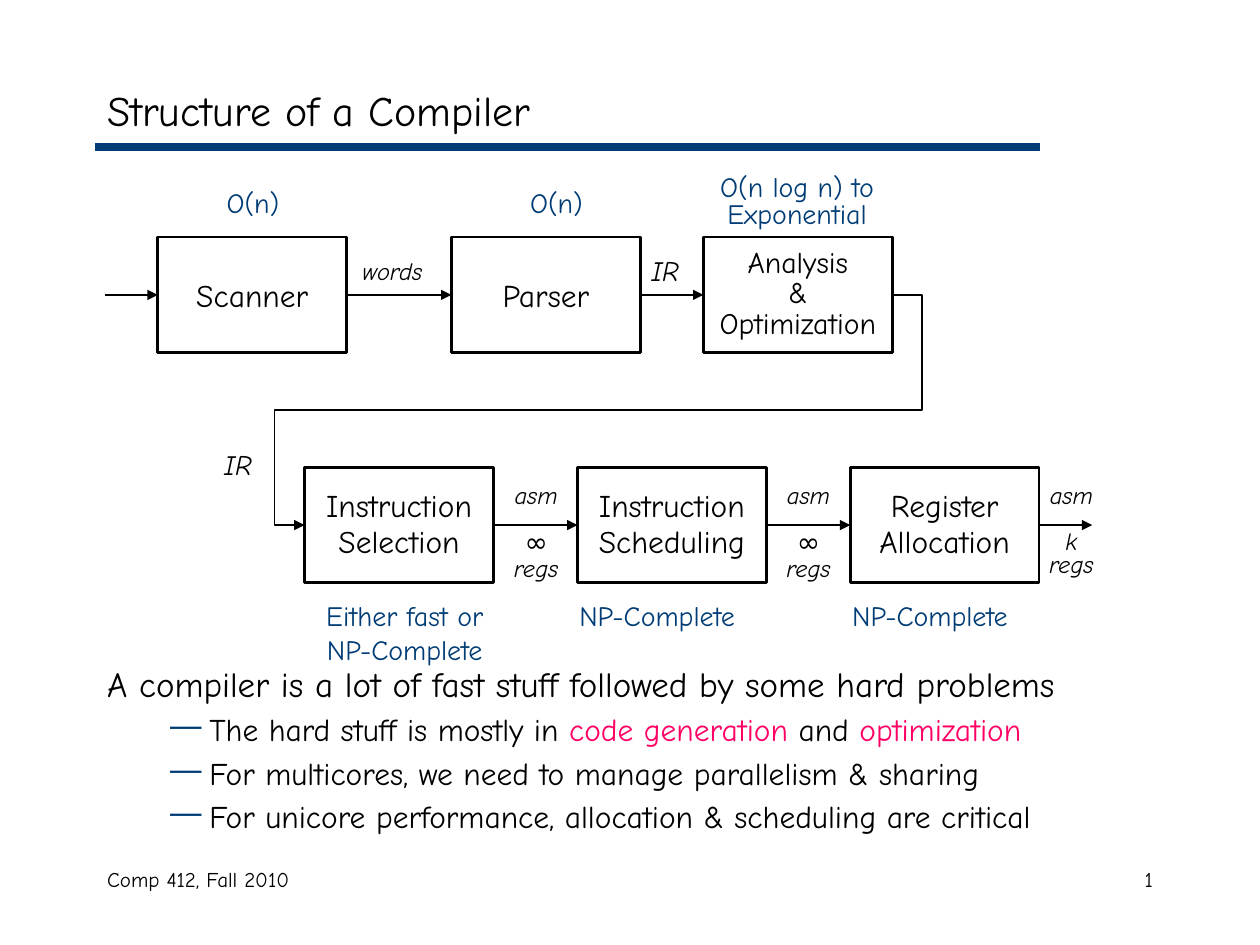
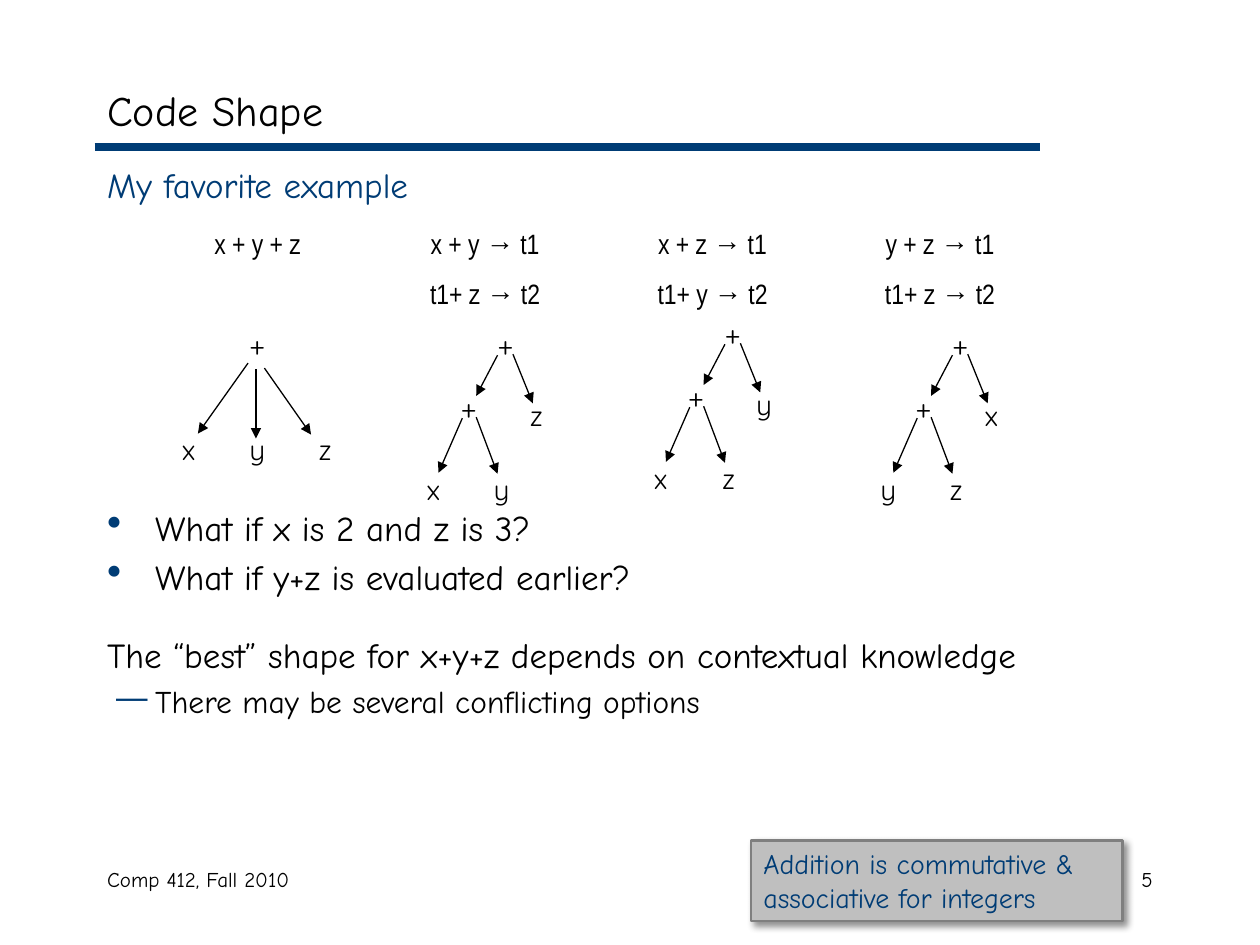
from lxml.etree import SubElement as Sub
from pptx import Presentation
from pptx.dml.color import RGBColor
from pptx.enum.shapes import MSO_CONNECTOR as CXN, MSO_SHAPE as SHAPE
from pptx.enum.text import MSO_ANCHOR as ANCHOR, PP_ALIGN as ALIGN
from pptx.oxml.ns import qn
from pptx.util import Cm, Pt

BLACK = RGBColor(0x00, 0x00, 0x00)
NAVY = RGBColor(0x00, 0x3C, 0x75)
PINK = RGBColor(0xFF, 0x00, 0x65)
SILVER = RGBColor(0xBF, 0xBF, 0xBF)
GREY = RGBColor(0x7F, 0x7F, 0x7F)
BODY, MATH, TREE = "Comic Neue", "Arial Narrow", "Quicksand"
LEFT, CENTER, RIGHT = ALIGN.LEFT, ALIGN.CENTER, ALIGN.RIGHT


def text(s, content, at=None, box=None, size=16, color=BLACK, font=BODY,
         italic=False, align=LEFT, anchor=ANCHOR.TOP, wrap=True, spacing=None,
         before=0, gap=0, bullet=None, bullet_size=100, margin=0, hang=0):
    """Write lines into a new text box, or add them to box; *...* is pink."""
    sp = box or s.shapes.add_textbox(*map(Cm, at))
    tf = sp.text_frame
    tf.word_wrap = wrap
    tf.vertical_anchor = anchor
    for n, line in enumerate(content.split("\n")):
        p = tf.paragraphs[0] if not tf.text else tf.add_paragraph()
        pPr = p._p.get_or_add_pPr()
        if bullet:
            pPr.set("marL", str(Cm(margin)))
            pPr.set("indent", str(-Cm(hang)))
            clr = Sub(Sub(pPr, qn("a:buClr")), qn("a:srgbClr"))
            clr.set("val", str(NAVY))
            Sub(pPr, qn("a:buSzPct")).set("val", str(bullet_size * 1000))
            Sub(pPr, qn("a:buChar")).set("char", bullet)
        p.alignment = align
        p.space_before = Pt(gap if n else before)
        if spacing:
            p.line_spacing = spacing
        for i, part in enumerate(line.split("*")):
            if part:
                r = p.add_run()
                r.text = part
                r.font.size, r.font.name, r.font.italic = Pt(size), font, italic
                r.font.color.rgb = PINK if i % 2 else color
    return sp


def arrow(s, start, end, width=1, kind=CXN.STRAIGHT, color=BLACK, head=True):
    """Draw a line; each end is an (x, y) point or a shape to join."""
    (x1, y1), (x2, y2) = [e if isinstance(e, tuple) else (0, 0)
                          for e in (start, end)]
    c = s.shapes.add_connector(kind, Cm(x1), Cm(y1), Cm(x2), Cm(y2))
    if not isinstance(start, tuple):
        c.begin_connect(start, 3)
    if not isinstance(end, tuple):
        c.end_connect(end, 1)
    c.line.color.rgb = color
    c.line.width = Pt(width)
    if head:
        Sub(c.line._get_or_add_ln(), qn("a:tailEnd")).set("type", "triangle")
    Sub(c._element.spPr, qn("a:effectLst"))
    return c


prs = Presentation()
prs.slide_width, prs.slide_height = Cm(25.4), Cm(19.05)

# Title, rule and footer of both slides
slides = []
for title, number in (("Structure of a Compiler", "1"), ("Code Shape", "5")):
    s = prs.slides.add_slide(prs.slide_layouts[6])
    arrow(s, (1.91, 2.97), (20.96, 2.97), width=4.5, color=NAVY, head=False)
    text(s, title, (1.91, 1.47, 21.59, 1.47), size=24, anchor=ANCHOR.MIDDLE)
    text(s, "Comp 412, Fall 2010", (1.91, 17.35, 8.05, 1.27), size=12)
    text(s, number, (18.21, 17.35, 5.28, 1.27), size=12, align=RIGHT)
    slides.append(s)

# ---- Slide 1: compiler stages ----
s = slides[0]
STAGE_W, STAGE_H = 3.81, 2.33
TOP_ROW, LOW_ROW = 4.78, 9.42
TOP_MID, LOW_MID = TOP_ROW + STAGE_H / 2, LOW_ROW + STAGE_H / 2
STEP = 5.5

stages = []
for label, x, y, size, spacing in (
        ("Scanner", 3.18, TOP_ROW, 18, None),
        ("Parser", 9.1, TOP_ROW, 18, None),
        ("Analysis\n&\nOptimization", 14.18, TOP_ROW, 17, 0.85),
        ("Instruction\nSelection", 6.14, LOW_ROW, 18, 0.95),
        ("Instruction\nScheduling", 6.14 + STEP, LOW_ROW, 18, 0.95),
        ("Register\nAllocation", 6.14 + 2 * STEP, LOW_ROW, 18, 0.95)):
    sp = s.shapes.add_shape(SHAPE.RECTANGLE, Cm(x), Cm(y),
                            Cm(STAGE_W), Cm(STAGE_H))
    sp.shadow.inherit = False
    sp.fill.background()
    sp.line.color.rgb = BLACK
    sp.line.width = Pt(1.5)
    text(s, label, box=sp, size=size, align=CENTER, anchor=ANCHOR.MIDDLE,
         wrap=False, spacing=spacing)
    stages.append(sp)

# Flow through the stages
scanner, parser, optimizer, selection, scheduling, allocation = stages
for start, end in (((2.11, TOP_MID), scanner), (scanner, parser),
                   (parser, optimizer), (selection, scheduling),
                   (scheduling, allocation), (allocation, (22.02, LOW_MID))):
    arrow(s, start, end)

# Return path from the upper row to the lower row
c = arrow(s, optimizer, selection, kind=CXN.ELBOW)
geom = c._element.spPr.find(qn("a:prstGeom"))
geom.set("prst", "bentConnector5")
guides = geom.find(qn("a:avLst"))
for n, value in enumerate((-5100, 50000, 105100), 1):
    gd = Sub(guides, qn("a:gd"))
    gd.set("name", f"adj{n}")
    gd.set("fmla", f"val {value}")

# Cost of each stage
text(s, "O(n log n) to Exponential", (13.21, 3.43, 5.72, 1.37), color=NAVY,
     align=CENTER, spacing=0.8)
for x in (3.51, 9.63):
    text(s, "O(n)", (x, 3.61, 3.18, 0.94), color=NAVY, align=CENTER)
text(s, "Either fast or\nNP-Complete", (5.72, 11.94, 4.88, 1.63), color=NAVY,
     align=CENTER)
for x in (11.43, 11.43 + STEP):
    text(s, "NP-Complete", (x, 11.94, 4.24, 0.94), color=NAVY)

# What passes between stages
text(s, "words", (7.06, 5.03, 2.11, 0.84), size=14, italic=True)
for x, y in ((12.88, 4.98), (4.27, 8.89)):
    text(s, "IR", (x, y, 1.47, 0.94), italic=True)
for x, count, size in ((9.96, "∞", 16), (15.45, "∞", 16), (20.75, "k", 14)):
    text(s, "asm", (x, 9.55, 1.7, 0.84), size=14, italic=True, align=CENTER)
    sp = text(s, count, (x, 10.59, 1.7, 1.27), size=size, italic=True,
              align=CENTER, spacing=0.8)
    text(s, "regs", box=sp, size=14, italic=True, align=CENTER, spacing=0.8)

# Conclusion
sp = text(s, "A compiler is a lot of fast stuff followed by some hard problems",
          (1.91, 13.23, 22.02, 4.1), size=20)
for line in ("The hard stuff is mostly in *code generation* and *optimization*",
             "For multicores, we need to manage parallelism & sharing",
             "For unicore performance, allocation & scheduling are critical"):
    text(s, line, box=sp, size=18, before=3.3, bullet="—", margin=2.06,
         hang=0.79)

# ---- Slide 2: code shapes ----
s = slides[1]
text(s, "My favorite example", (1.91, 3.18, 21.59, 1.1), size=20, color=NAVY)

# Expressions above the trees
COLUMN = 4.585
for n, code in enumerate(("x + y + z", "x + y → t1\nt1+ z → t2",
                          "x + z → t1\nt1+ y → t2", "y + z → t1\nt1+ z → t2")):
    text(s, code, (3.39 + n * COLUMN, 4.45, 3.61, 1.96), font=MATH,
         align=CENTER, gap=9)

# Trees: column, shift down, node labels, node places, edges
flat_nodes = ((4.78, 6.48), (3.4, 8.59), (4.78, 8.59), (6.15, 8.59))
flat_edges = ((5, 7.32, 3.99, 8.74), (5.16, 7.44, 5.16, 8.84),
              (5.33, 7.42, 6.27, 8.76))
deep_nodes = ((9.78, 6.48), (9.04, 7.75), (10.41, 7.9), (8.33, 9.4),
              (9.7, 9.4))
deep_edges = ((10.03, 7.16, 9.6, 7.98), (10.34, 7.14, 10.74, 8.13),
              (9.32, 8.43, 8.84, 9.53), (9.6, 8.41, 10.03, 9.55))
for column, dy, labels, nodes, edges in (
        (0, 0, "+xyz", flat_nodes, flat_edges),
        (0, 0, "++zxy", deep_nodes, deep_edges),
        (1, -0.22, "++yxz", deep_nodes, deep_edges),
        (2, 0, "++xyz", deep_nodes, deep_edges)):
    dx = column * COLUMN
    for label, (x, y) in zip(labels, nodes):
        text(s, label, (x + dx, y + dy, 0.81, 0.94), font=TREE, align=CENTER,
             wrap=False)
    for x1, y1, x2, y2 in edges:
        arrow(s, (x1 + dx, y1 + dy), (x2 + dx, y2 + dy), width=0.75)

# Questions and answer
sp = text(s, "What if x is 2 and z is 3?\nWhat if y+z is evaluated earlier?",
          (1.91, 10.08, 21.59, 5), size=20, gap=4, bullet="•",
          bullet_size=120, margin=0.97, hang=0.97)
text(s, "The “best” shape for x+y+z depends on contextual knowledge", box=sp,
     size=20, before=21)
text(s, "There may be several conflicting options", box=sp, size=18,
     before=3.3, bullet="—", margin=0.97, hang=0.79)

# Shadowed note
sp = s.shapes.add_shape(SHAPE.RECTANGLE, Cm(15.14), Cm(16.94), Cm(7.49),
                        Cm(1.63))
sp.fill.solid()
sp.fill.fore_color.rgb = SILVER
sp.line.color.rgb = GREY
sp.line.width = Pt(1.5)
sp.shadow.inherit = False
shadow = Sub(sp._element.spPr.find(qn("a:effectLst")), qn("a:outerShdw"))
for key, value in (("blurRad", Pt(4)), ("dist", Pt(3)), ("dir", 45 * 60000)):
    shadow.set(key, str(value))
clr = Sub(shadow, qn("a:srgbClr"))
clr.set("val", str(BLACK))
Sub(clr, qn("a:alpha")).set("val", "43000")
text(s, "Addition is commutative & associative for integers", box=sp,
     color=NAVY)

prs.save("out.pptx")
